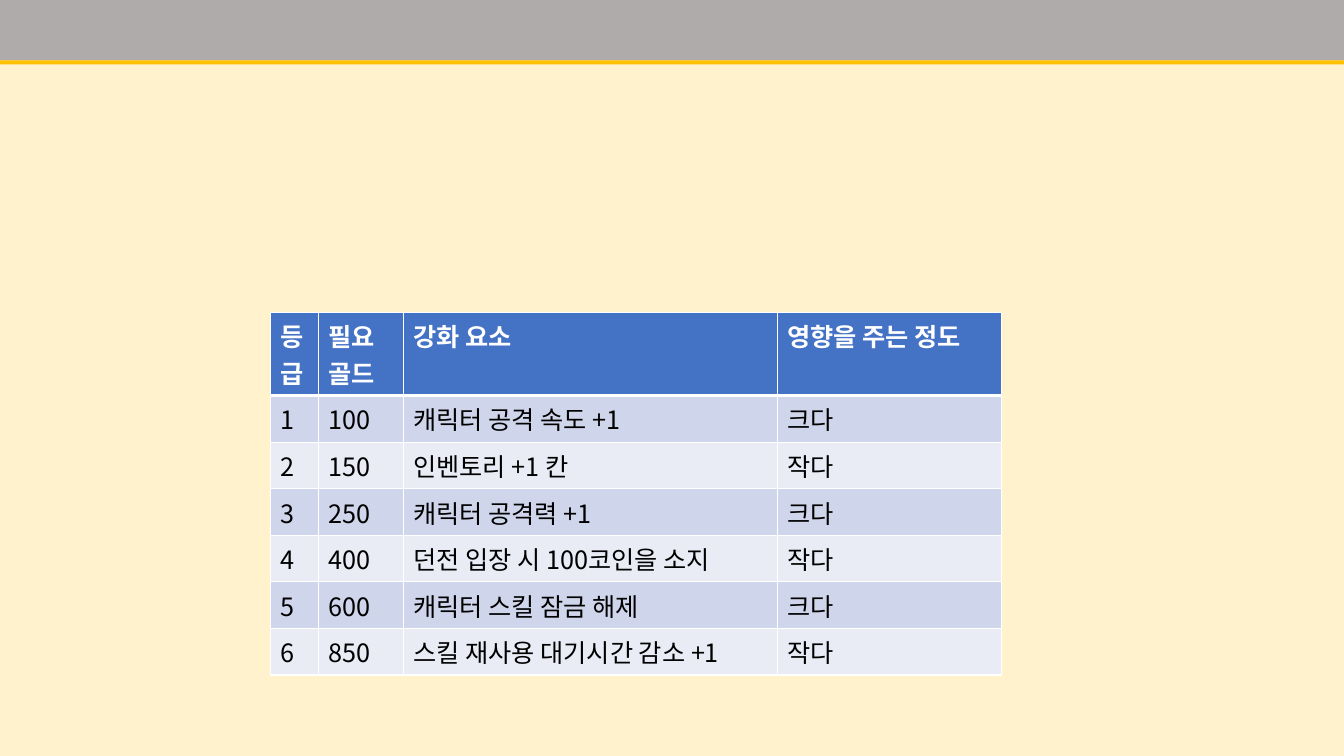
from lxml import etree
from pptx import Presentation
from pptx.dml.color import RGBColor
from pptx.enum.shapes import MSO_SHAPE
from pptx.oxml.ns import qn
from pptx.util import Inches, Pt

RECTANGLE = MSO_SHAPE.RECTANGLE
FONT = "Noto Sans CJK KR"
WHITE = "FFFFFF"
BAND_FILLS = ("E9EBF5", "CFD5EA")
COLUMN_WIDTHS = (0.48, 0.84, 3.71, 2.22)
ROW_HEIGHT = 0.41
UPGRADES = (
    ("등급", "필요 골드", "강화 요소", "영향을 주는 정도"),
    ("1", "100", "캐릭터 공격 속도 +1", "크다"),
    ("2", "150", "인벤토리 +1 칸", "작다"),
    ("3", "250", "캐릭터 공격력 +1", "크다"),
    ("4", "400", "던전 입장 시 100코인을 소지", "작다"),
    ("5", "600", "캐릭터 스킬 잠금 해제", "크다"),
    ("6", "850", "스킬 재사용 대기시간 감소 +1", "작다"),
)


def paint(fill, color):
    """Give a fill one solid colour."""
    fill.solid()
    fill.fore_color.rgb = RGBColor.from_string(color)


def add_band(page, top, height, color):
    """Add a plain band across the full width of the page."""
    band = page.shapes.add_shape(RECTANGLE, 0, Inches(top), Inches(13.33), Inches(height))
    band.shadow.inherit = False
    paint(band.fill, color)
    band.line.fill.background()


def add_borders(cell, top, bottom):
    """Draw white cell borders with the given top and bottom widths in points."""
    properties = cell._tc.get_or_add_tcPr()
    for side, width in (("lnL", 1), ("lnR", 1), ("lnT", top), ("lnB", bottom)):
        line = etree.SubElement(properties, qn(f"a:{side}"), w=str(Pt(width)))
        fill = etree.SubElement(line, qn("a:solidFill"))
        etree.SubElement(fill, qn("a:srgbClr"), val=WHITE)


def fill_cell(cell, text, row):
    """Write and style one cell according to its row."""
    header = row == 0
    add_borders(cell, 3 if row == 1 else 1, 3 if header else 1)
    paint(cell.fill, "4472C4" if header else BAND_FILLS[row % 2])
    cell.text_frame.text = text
    span = cell.text_frame.paragraphs[0].runs[0]
    span.font.size = Pt(18)
    span.font.bold = header
    span.font.name = FONT
    paint(span.font.fill, WHITE if header else "000000")
    etree.SubElement(span.font._element, qn("a:ea"), typeface=FONT)


def add_upgrade_table(page):
    """Add the table of upgrades."""
    table = page.shapes.add_table(
        len(UPGRADES), len(COLUMN_WIDTHS), Inches(2.68), Inches(3.1),
        Inches(sum(COLUMN_WIDTHS)), Inches(ROW_HEIGHT * len(UPGRADES))).table
    for column, width in zip(table.columns, COLUMN_WIDTHS):
        column.width = Inches(width)
    for row, texts in enumerate(UPGRADES):
        table.rows[row].height = Inches(ROW_HEIGHT)
        for column, text in enumerate(texts):
            fill_cell(table.cell(row, column), text, row)


def main():
    """Build the slide and save it."""
    deck = Presentation()
    deck.slide_width, deck.slide_height = Inches(13.33), Inches(7.5)
    page = deck.slides.add_slide(deck.slide_layouts[6])
    paint(page.background.fill, "FFF2CC")
    add_band(page, 0, 0.6, "AFABAB")
    add_band(page, 0.6, 0.04, "FFC000")
    add_upgrade_table(page)
    deck.save("out.pptx")


if __name__ == "__main__":
    main()
